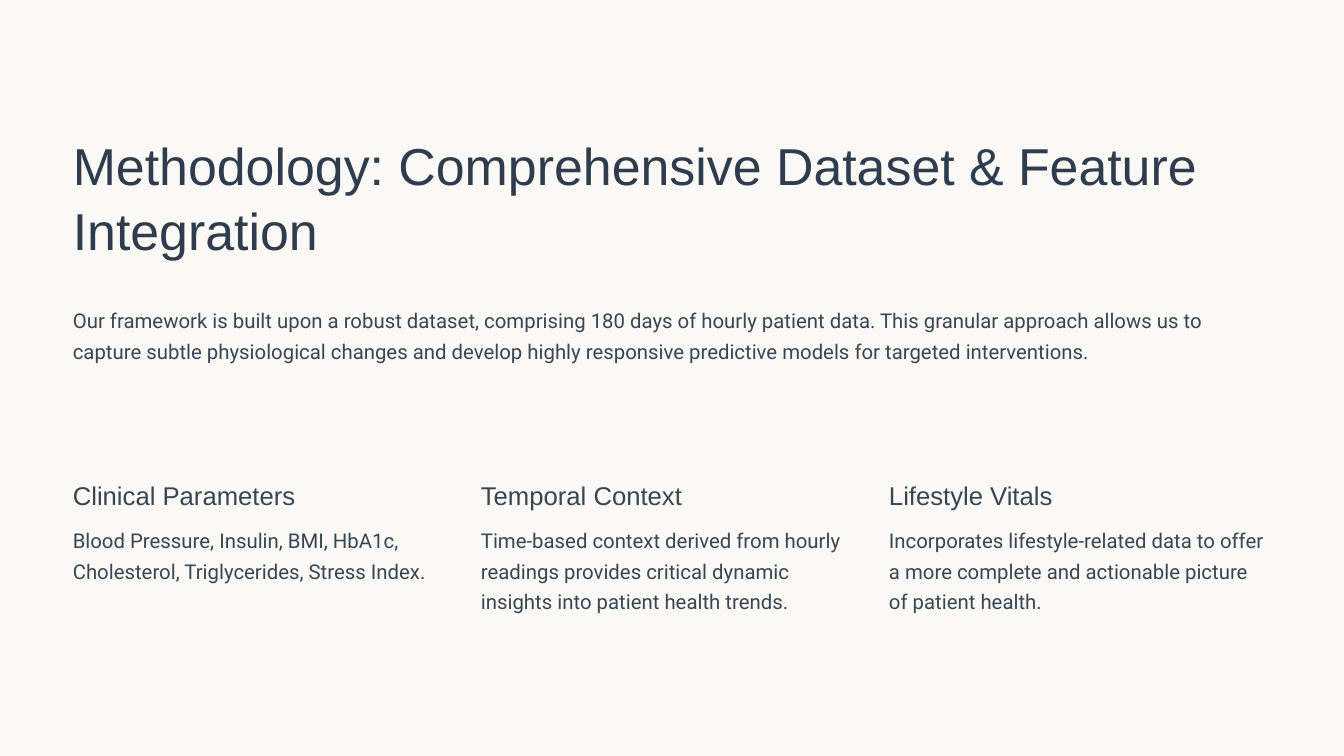
from pptx import Presentation
from pptx import util as u
from pptx.dml.color import RGBColor
from pptx.enum import text

PX = 9525
NAVY = RGBColor(0x2E, 0x3C, 0x4E)
SLATE = RGBColor(0x38, 0x46, 0x53)
CREAM = RGBColor(0xFA, 0xF9, 0xF5)
WHITE = RGBColor(0xFF, 0xFF, 0xFF)

TITLE = "Methodology: Comprehensive Dataset & Feature Integration"
INTRO = (
    "Our framework is built upon a robust dataset, comprising 180 days of hourly "
    "patient data. This granular approach allows us to capture subtle physiological "
    "changes and develop highly responsive predictive models for targeted interventions."
)
FEATURES = [
    ("Clinical Parameters",
     "Blood Pressure, Insulin, BMI, HbA1c, Cholesterol, Triglycerides, Stress Index."),
    ("Temporal Context",
     "Time-based context derived from hourly readings provides critical dynamic "
     "insights into patient health trends."),
    ("Lifestyle Vitals",
     "Incorporates lifestyle-related data to offer a more complete and actionable "
     "picture of patient health."),
]

TITLE_STYLE = ("Arial", 55.6, 69.4, NAVY)
HEADING_STYLE = ("Arial", 27.5, 34.4, SLATE)
BODY_STYLE = ("Roboto", 21.8, 33, SLATE)


def add_panel(s, x, y, w, h):
    """Place the cream panel behind the text."""
    fb = s.shapes.build_freeform(x, y, scale=PX)
    fb.add_line_segments([(x + w, y), (x + w, y + h), (x, y + h)], close=True)
    sp = fb.convert_to_shape()
    sp.shadow.inherit = False
    sp.fill.solid()
    sp.fill.fore_color.rgb = CREAM
    sp.line.fill.background()


def add_text(s, x, y, w, h, words, style):
    """Place one wrapped paragraph in a box without margins."""
    font, size, leading, color = style
    sp = s.shapes.add_textbox(*(v * PX for v in (x, y, w, h)))
    tf = sp.text_frame
    tf.word_wrap = True
    tf.auto_size = text.MSO_AUTO_SIZE.NONE
    tf.margin_left = tf.margin_top = tf.margin_right = tf.margin_bottom = 0
    p = tf.paragraphs[0]
    p.text = words
    p.line_spacing = u.Pt(leading)
    p.font.name = font
    p.font.size = u.Pt(size)
    p.font.color.rgb = color


def add_header(s, x, y, w):
    """Place the title with the introduction below it."""
    add_text(s, x, y, w, 192, TITLE, TITLE_STYLE)
    add_text(s, x, y + 244, w, 97, INTRO, BODY_STYLE)


def add_features(s, x, y, w, gap):
    """Place the feature groups in equal columns."""
    col = (w - gap * (len(FEATURES) - 1)) // len(FEATURES)
    for i, (heading, body) in enumerate(FEATURES):
        left = x + i * (col + gap)
        add_text(s, left, y, 372, 51, heading, HEADING_STYLE)
        add_text(s, left, y + 61, col, 142, body, BODY_STYLE)


def main():
    """Build the methodology slide and save it."""
    prs = Presentation()
    prs.slide_width, prs.slide_height = 1920 * PX, 1080 * PX
    s = prs.slides.add_slide(prs.slide_layouts[6])
    s.background.fill.solid()
    s.background.fill.fore_color.rgb = WHITE
    add_panel(s, 0, 0, 1920, 1080)
    add_header(s, 104, 187, 1712)
    add_features(s, 104, 684, 1712, 37)
    prs.save("out.pptx")


if __name__ == "__main__":
    main()
